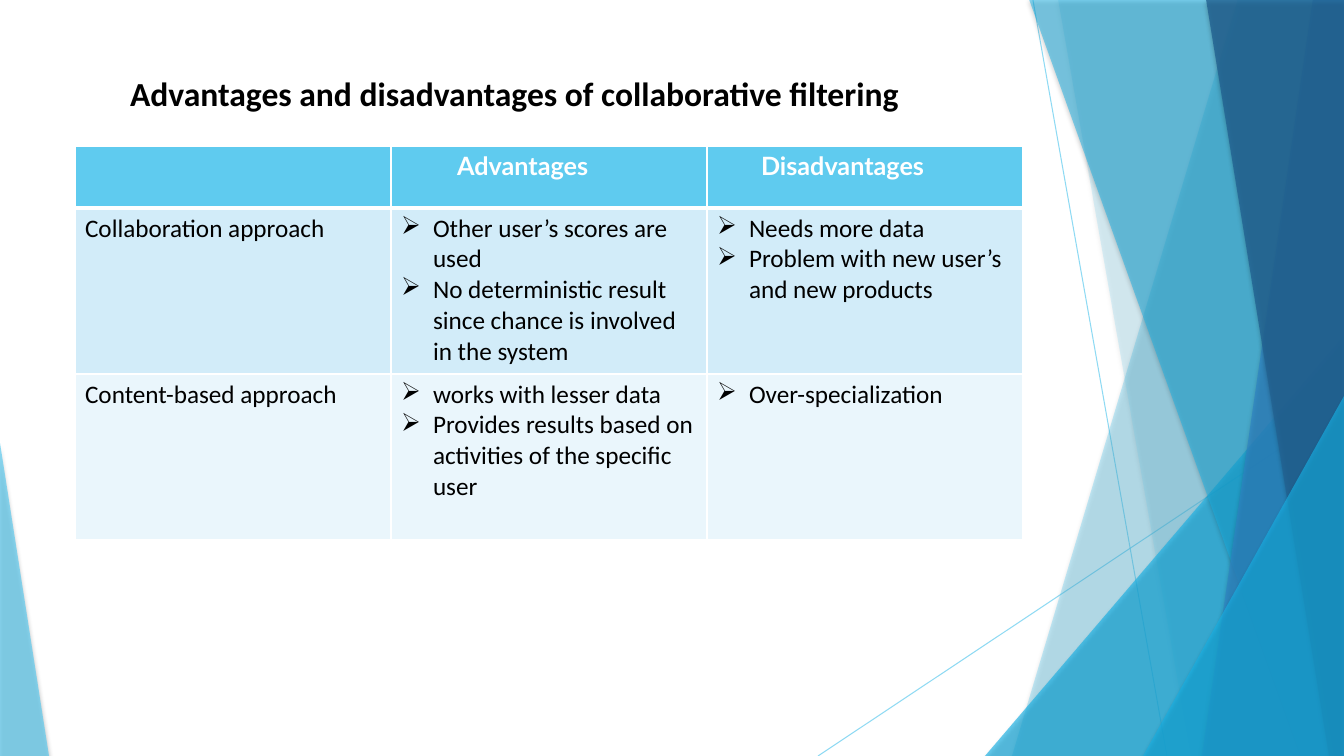
from dataclasses import dataclass

from lxml import etree
from pptx import Presentation
from pptx import util as u
from pptx.dml.color import RGBColor
from pptx.enum import shapes, text
from pptx.oxml import ns

PAGE_WIDTH, PAGE_HEIGHT = 1344, 756
PX = u.Inches(1) / 100.8
COLORS = {
    "sky": "5FCBEF", "cyan": "17B0E4", "blue": "2E83C3", "navy": "226292",
    "row": "D2ECF9", "pale_row": "EAF6FC", "white": "FFFFFF", "black": "000000",
}


@dataclass
class Ray:
    start: tuple[int, int]
    end: tuple[int, int]


@dataclass
class Facet:
    """A band down to the page's foot, bounded by its right edge."""
    top_x: int
    bottom_x: int
    color: str
    opacity: int


@dataclass
class Wedge:
    """A right triangle standing on the page's foot."""
    left: int
    top: int
    width: int
    apex: int
    color: str
    opacity: int


@dataclass
class Entry:
    lines: list[str]
    bulleted: bool = False
    indent: int = 0


RAYS = [Ray((1033, 0), (1167, 756)), Ray((1344, 406), (818, 756))]
DECORATION = [
    Facet(1238, 1012, "sky", 36),
    Facet(1058, 1191, "sky", 20),
    Wedge(985, 336, 359, 1, "cyan", 66),
    Facet(1029, 1301, "cyan", 50),
    Facet(1313, 1202, "blue", 70),
    Facet(1206, 1329, "navy", 80),
    Wedge(1143, 396, 201, 1, "cyan", 66),
    Wedge(0, 443, 49, 0, "sky", 70),
]

TABLE_LEFT, TABLE_TOP, COLUMN_WIDTH = 75, 146, 316
ROW_HEIGHTS = [62, 166, 166]
ROW_FILLS = ["sky", "row", "pale_row"]
ENTRIES = [
    [Entry([""]), Entry(["Advantages"], indent=56), Entry(["Disadvantages"], indent=44)],
    [
        Entry(["Collaboration approach"]),
        Entry(["Other user’s scores are used",
               "No deterministic result since chance is involved in the system"], True),
        Entry(["Needs more data", "Problem with new user’s and new products"], True),
    ],
    [
        Entry(["Content-based approach"]),
        Entry(["works with lesser data",
               "Provides results based on activities of the specific user"], True),
        Entry(["Over-specialization"], True),
    ],
]


def px(value: float) -> u.Emu:
    return u.Emu(round(value * PX))


def rgb(name: str) -> RGBColor:
    return RGBColor.from_string(COLORS[name])


def add_node(parent, tag: str, **attributes):
    node = etree.SubElement(parent, ns.qn(tag))
    for key, value in attributes.items():
        node.set(key, str(value))
    return node


def set_opacity(fill_owner, percent: int) -> None:
    color = next(fill_owner.iter(ns.qn("a:srgbClr")))
    add_node(color, "a:alpha", val=percent * 1000)


def style_text(para, font: str, size: int, color: str, bold: bool) -> None:
    for span in para.runs:
        span.font.name, span.font.size, span.font.bold = font, u.Pt(size), bold
        span.font.color.rgb = rgb(color)


def draw_ray(page, ray: Ray) -> None:
    line = page.shapes.add_connector(
        shapes.MSO_CONNECTOR.STRAIGHT, *map(px, ray.start + ray.end))
    line.line.color.rgb = rgb("sky")
    line.line.width = u.Pt(0.75)
    properties = line._element.spPr
    set_opacity(properties, 70)
    add_node(properties, "a:effectLst")


def draw_decoration(page, item: Facet | Wedge) -> None:
    if isinstance(item, Facet):
        builder = page.shapes.build_freeform(item.top_x, -1, scale=PX)
        builder.add_line_segments(
            [(PAGE_WIDTH, -1), (PAGE_WIDTH, PAGE_HEIGHT), (item.bottom_x, PAGE_HEIGHT)])
        shape = builder.convert_to_shape()
    else:
        shape = page.shapes.add_shape(
            shapes.MSO_SHAPE.ISOSCELES_TRIANGLE, px(item.left), px(item.top),
            px(item.width), px(PAGE_HEIGHT - item.top))
        shape.adjustments[0] = item.apex
    shape.fill.solid()
    shape.fill.fore_color.rgb = rgb(item.color)
    shape.line.fill.background()
    properties = shape._element.spPr
    set_opacity(properties, item.opacity)
    shape.shadow.inherit = False
    shadow = add_node(
        properties.find(ns.qn("a:effectLst")), "a:outerShdw",
        blurRad=u.Pt(3), dist=u.Pt(2), dir=90 * 60000, rotWithShape=0)
    color = add_node(shadow, "a:srgbClr", val=COLORS["black"])
    add_node(color, "a:alpha", val=35000)


def draw_borders(cell, row: int) -> None:
    """Rule the cell in white, with a heavier line under the header."""
    heavy = {(0, "B"), (1, "T")}
    properties = cell._tc.get_or_add_tcPr()
    for side in "LRTB":
        width = 3 if (row, side) in heavy else 0.96
        line = add_node(properties, f"a:ln{side}", w=u.Pt(width))
        add_node(add_node(line, "a:solidFill"), "a:srgbClr", val=COLORS["white"])


def fill_cell(cell, entry: Entry, row: int) -> None:
    draw_borders(cell, row)
    cell.fill.solid()
    cell.fill.fore_color.rgb = rgb(ROW_FILLS[row])
    cell.text_frame.text = "\n".join(entry.lines)
    for para in cell.text_frame.paragraphs:
        if row == 0:
            style_text(para, "Lato", 18, "white", True)
        else:
            style_text(para, "Calibri", 18, "black", False)
        properties = para._p.get_or_add_pPr()
        if entry.bulleted:
            properties.set("marL", str(px(32)))
            properties.set("indent", str(px(-32)))
            add_node(properties, "a:buChar", char="➢")
        elif entry.indent:
            properties.set("marL", str(px(entry.indent)))


def draw_title(page) -> None:
    title = page.shapes.title
    title.left, title.top, title.width, title.height = map(px, (75, 68, 948, 72))
    frame = title.text_frame
    frame.text = "Advantages and disadvantages of collaborative filtering"
    frame.auto_size = text.MSO_AUTO_SIZE.NONE
    frame.vertical_anchor = text.MSO_ANCHOR.TOP
    frame.margin_left = px(55)
    para = frame.paragraphs[0]
    para.alignment = text.PP_ALIGN.LEFT
    style_text(para, "Calibri", 24, "black", True)


def draw_table(page) -> None:
    columns = len(ENTRIES[0])
    table = page.shapes.add_table(
        len(ENTRIES), columns, px(TABLE_LEFT), px(TABLE_TOP),
        px(COLUMN_WIDTH * columns), px(sum(ROW_HEIGHTS))).table
    for column in table.columns:
        column.width = px(COLUMN_WIDTH)
    for row, entries in enumerate(ENTRIES):
        table.rows[row].height = px(ROW_HEIGHTS[row])
        for column, entry in enumerate(entries):
            fill_cell(table.cell(row, column), entry, row)


def main() -> None:
    deck = Presentation()
    deck.slide_width, deck.slide_height = px(PAGE_WIDTH), px(PAGE_HEIGHT)
    page = deck.slides.add_slide(deck.slide_layouts.get_by_name("Title Only"))
    for ray in RAYS:
        draw_ray(page, ray)
    for item in DECORATION:
        draw_decoration(page, item)
    draw_title(page)
    draw_table(page)
    deck.save("out.pptx")


if __name__ == "__main__":
    main()
